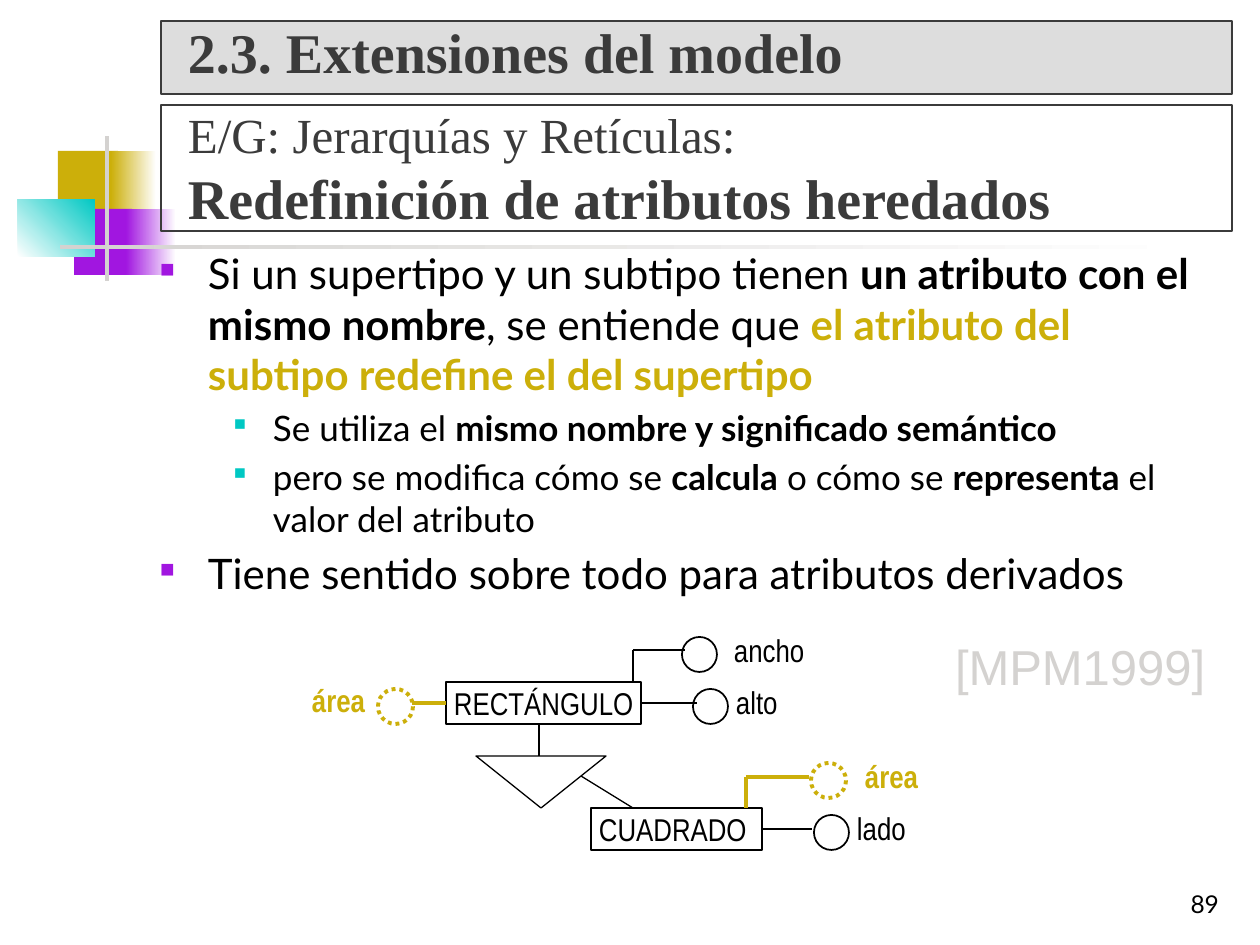
from dataclasses import dataclass

from lxml import etree
from pptx import Presentation
from pptx.dml.color import RGBColor
from pptx.enum.dml import MSO_LINE
from pptx.enum.shapes import MSO_CONNECTOR, MSO_SHAPE
from pptx.enum.text import MSO_ANCHOR, PP_ALIGN
from pptx.oxml.ns import qn
from pptx.util import Emu, Pt

RECT, OVAL, TRIANGLE = MSO_SHAPE.RECTANGLE, MSO_SHAPE.OVAL, MSO_SHAPE.ISOSCELES_TRIANGLE
STRAIGHT, DOTTED = MSO_CONNECTOR.STRAIGHT, MSO_LINE.ROUND_DOT
TOP, MIDDLE, BOTTOM = MSO_ANCHOR.TOP, MSO_ANCHOR.MIDDLE, MSO_ANCHOR.BOTTOM
LEFT, RIGHT = PP_ALIGN.LEFT, PP_ALIGN.RIGHT
LEFT_SIDE, RIGHT_SIDE = 1, 3


@dataclass(frozen=True)
class Theme:
    black: str = "000000"
    white: str = "FFFFFF"
    gold: str = "CCAF0A"
    purple: str = "A116E0"
    teal: str = "00C8C3"
    rule: str = "D4D2D0"
    band: str = "DDDDDD"
    ink: str = "3B3B3B"
    title_font: str = "Times New Roman"
    body_font: str = "Lato"
    label_font: str = "Arial Narrow"
    cite_font: str = "Arial"
    title: int = 32
    subtitle: int = 28
    body: int = 24
    detail: int = 20
    label: int = 18
    number: int = 14
    thin: float = 0.75
    ring: float = 1
    thick: float = 2.25


def px(n):
    return Emu(round(n * 914400 / 126))


def rgb(color):
    return RGBColor.from_string(color)


class Deck:
    def __init__(self, theme):
        self.t = theme
        self.prs = Presentation()
        self.prs.slide_width, self.prs.slide_height = px(1260), px(945)
        self.s = self.prs.slides.add_slide(self.prs.slide_layouts[6])

    def shape(self, kind, box, fill=None, line=None, width=None, dash=None):
        sp = self.s.shapes.add_shape(kind, *map(px, box))
        sp.shadow.inherit = False
        if fill:
            sp.fill.solid()
            sp.fill.fore_color.rgb = rgb(fill)
        else:
            sp.fill.background()
        if line:
            sp.line.color.rgb = rgb(line)
            sp.line.width = Pt(width or self.t.thin)
            if dash:
                sp.line.dash_style = dash
        else:
            sp.line.fill.background()
        return sp

    def fade(self, box, start, end, angle=0):
        sp = self.shape(RECT, box)
        sp.fill.gradient()
        sp.fill.gradient_angle = angle
        for stop, color, pos in zip(sp.fill.gradient_stops, (start, end), (0, 1)):
            stop.color.rgb = rgb(color)
            stop.position = pos

    def frame(self, sp, margins=(13, 6, 13, 6), anchor=TOP, wrap=True):
        tf = sp.text_frame
        tf.word_wrap = wrap
        tf.vertical_anchor = anchor
        tf.margin_left, tf.margin_top, tf.margin_right, tf.margin_bottom = map(px, margins)
        return tf

    def box(self, box, **options):
        return self.frame(self.s.shapes.add_textbox(*map(px, box)), **options)

    def run(self, p, text, font, size, color, bold=False):
        r = p.add_run()
        r.text = text
        r.font.name, r.font.size, r.font.bold = font, Pt(size), bold
        r.font.color.rgb = rgb(color)

    def indent(self, p, margin, first=0):
        pPr = p._p.get_or_add_pPr()
        pPr.set("marL", str(px(margin)))
        pPr.set("indent", str(px(first)))
        return pPr

    def header(self, box, fill, spacing, lines):
        tf = self.frame(self.shape(RECT, box, fill, self.t.ink), anchor=MIDDLE)
        p = tf.paragraphs[0]
        p.alignment, p.line_spacing = LEFT, spacing
        self.indent(p, 14)
        for i, (text, size, bold) in enumerate(lines):
            if i:
                p.add_line_break()
            self.run(p, text, self.t.title_font, size, self.t.ink, bold)

    def bullet(self, p, level, runs):
        size, color, margin, first, percent, gap = (
            (self.t.body, self.t.purple, 48, -48, 48, 5),
            (self.t.detail, self.t.teal, 113, -39, 47, 4))[level]
        p.level, p.space_before = level, Pt(gap)
        pPr = self.indent(p, margin, first)
        clr = etree.SubElement(pPr, qn("a:buClr"))
        etree.SubElement(clr, qn("a:srgbClr"), val=color)
        etree.SubElement(pPr, qn("a:buSzPct"), val=str(percent * 1000))
        etree.SubElement(pPr, qn("a:buChar"), char="■")
        for text, bold, ink in runs:
            self.run(p, text, self.t.body_font, size, ink, bold)

    def entity(self, box, text):
        sp = self.shape(RECT, box, self.t.white, self.t.black)
        p = self.frame(sp, (8, 1, 0, 1), MIDDLE, False).paragraphs[0]
        p.alignment = LEFT
        self.run(p, text, self.t.label_font, self.t.label, self.t.black)
        return sp

    def attribute(self, ring, label, text, derived=False):
        color = self.t.gold if derived else self.t.black
        self.shape(OVAL, (*ring, 35, 35), line=color,
                   width=self.t.thick if derived else self.t.ring,
                   dash=DOTTED if derived else None)
        tf = self.box((*label, 40), margins=(8, 1, 0, 1), wrap=False)
        self.run(tf.paragraphs[0], text, self.t.label_font, self.t.label, color, derived)

    def line(self, x1, y1, x2, y2, derived=False, begin=None, end=None):
        c = self.s.shapes.add_connector(STRAIGHT, *map(px, (x1, y1, x2, y2)))
        c.line.color.rgb = rgb(self.t.gold if derived else self.t.black)
        c.line.width = Pt(self.t.thick if derived else self.t.thin)
        etree.SubElement(c._element.spPr, qn("a:effectLst"))
        if begin:
            c.begin_connect(*begin)
        if end:
            c.end_connect(*end)


def main():
    t = Theme()
    d = Deck(t)

    d.shape(RECT, (58, 151, 60, 66), t.gold)
    d.fade((111, 151, 45, 66), t.gold, t.white)
    d.shape(RECT, (74, 209, 58, 66), t.purple)
    d.fade((126, 209, 50, 66), t.purple, t.white)
    d.fade((18, 199, 77, 58), t.white, t.teal, 45)
    d.shape(RECT, (105, 136, 4, 145), t.rule)
    d.fade((60, 245, 1134, 4), t.rule, t.white)

    p = d.box((970, 861, 262, 63), anchor=BOTTOM).paragraphs[0]
    p.alignment = RIGHT
    d.run(p, "89", t.body_font, t.number, t.black)

    tf = d.box((147, 242, 1079, 388))
    bullets = (
        (0, (("Si un supertipo y un subtipo tienen ", False, t.black),
             ("un atributo con el mismo nombre", True, t.black),
             (", se entiende que ", False, t.black),
             ("el atributo del subtipo redefine el del supertipo", True, t.gold))),
        (1, (("Se utiliza el ", False, t.black),
             ("mismo nombre y significado semántico", True, t.black))),
        (1, (("pero se modifica cómo se ", False, t.black),
             ("calcula", True, t.black),
             (" o cómo se ", False, t.black),
             ("representa", True, t.black),
             (" el valor del atributo", False, t.black))),
        (0, (("Tiene sentido sobre todo para atributos derivados", False, t.black),)),
    )
    for i, (level, runs) in enumerate(bullets):
        d.bullet(tf.add_paragraph() if i else tf.paragraphs[0], level, runs)

    tf = d.box((955, 630, 260, 67), margins=(0, 6, 0, 1), wrap=False)
    d.run(tf.paragraphs[0], "[MPM1999]", t.cite_font, t.subtitle, t.rule)

    d.header((161, 21, 1071, 73), t.band, 0.8,
             (("2.3. Extensiones del modelo", t.title, True),))
    d.header((161, 105, 1071, 126), None, 1.0,
             (("E/G: Jerarquías y Retículas:", t.subtitle, False),
              ("Redefinición de atributos heredados", t.title, True)))

    rectangle = d.entity((446, 682, 195, 42), "RECTÁNGULO")
    square = d.entity((591, 808, 171, 42), "CUADRADO")
    d.shape(TRIANGLE, (476, 756, 130, 52), line=t.black).rotation = 180

    d.attribute((682, 637), (726, 630, 90), "ancho")
    d.attribute((693, 689), (728, 682, 60), "alto")
    d.attribute((814, 815), (849, 808, 70), "lado")
    d.attribute((811, 763), (857, 756, 70), "área", True)
    d.attribute((378, 689), (304, 680, 70), "área", True)

    d.line(633, 650, 685, 650)
    d.line(633, 682, 633, 650)
    d.line(641, 703, 697, 703, begin=(rectangle, RIGHT_SIDE))
    d.line(539, 724, 539, 756)
    d.line(581, 776, 633, 808)
    d.line(762, 829, 812, 829, begin=(square, RIGHT_SIDE))
    d.line(746, 777, 809, 777, True)
    d.line(746, 808, 746, 777, True)
    d.line(412, 703, 446, 703, True, end=(rectangle, LEFT_SIDE))

    d.prs.save("out.pptx")


if __name__ == "__main__":
    main()
